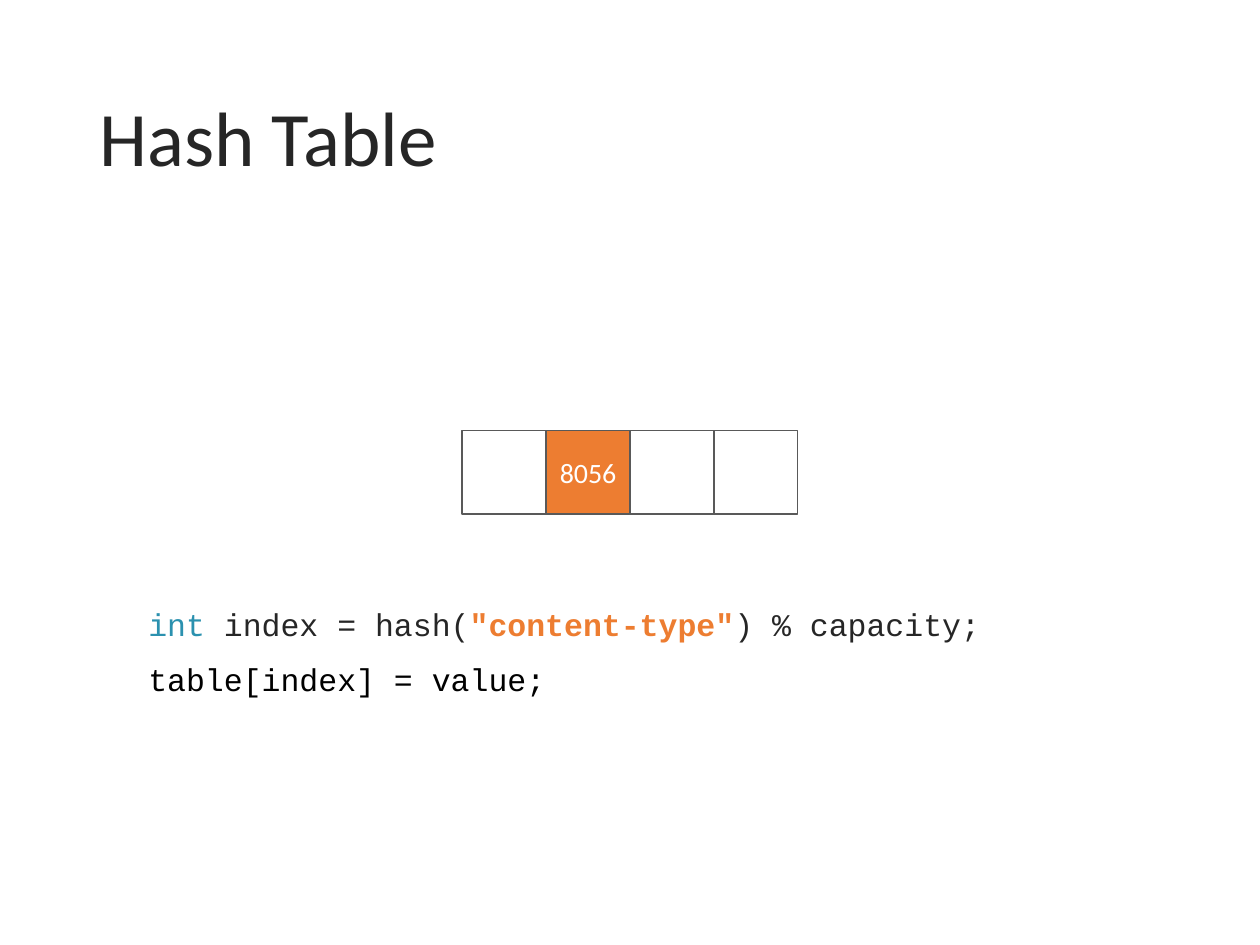
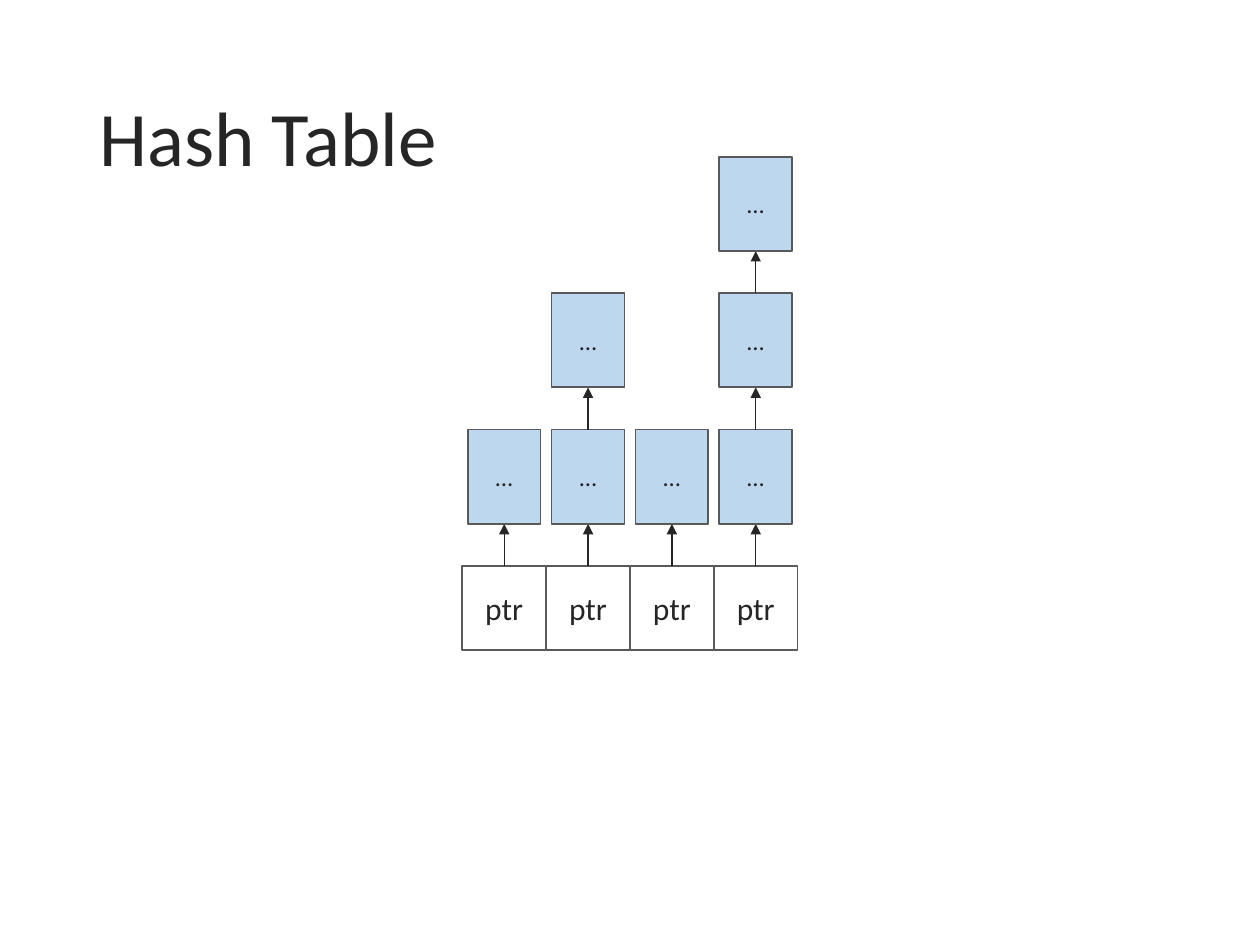
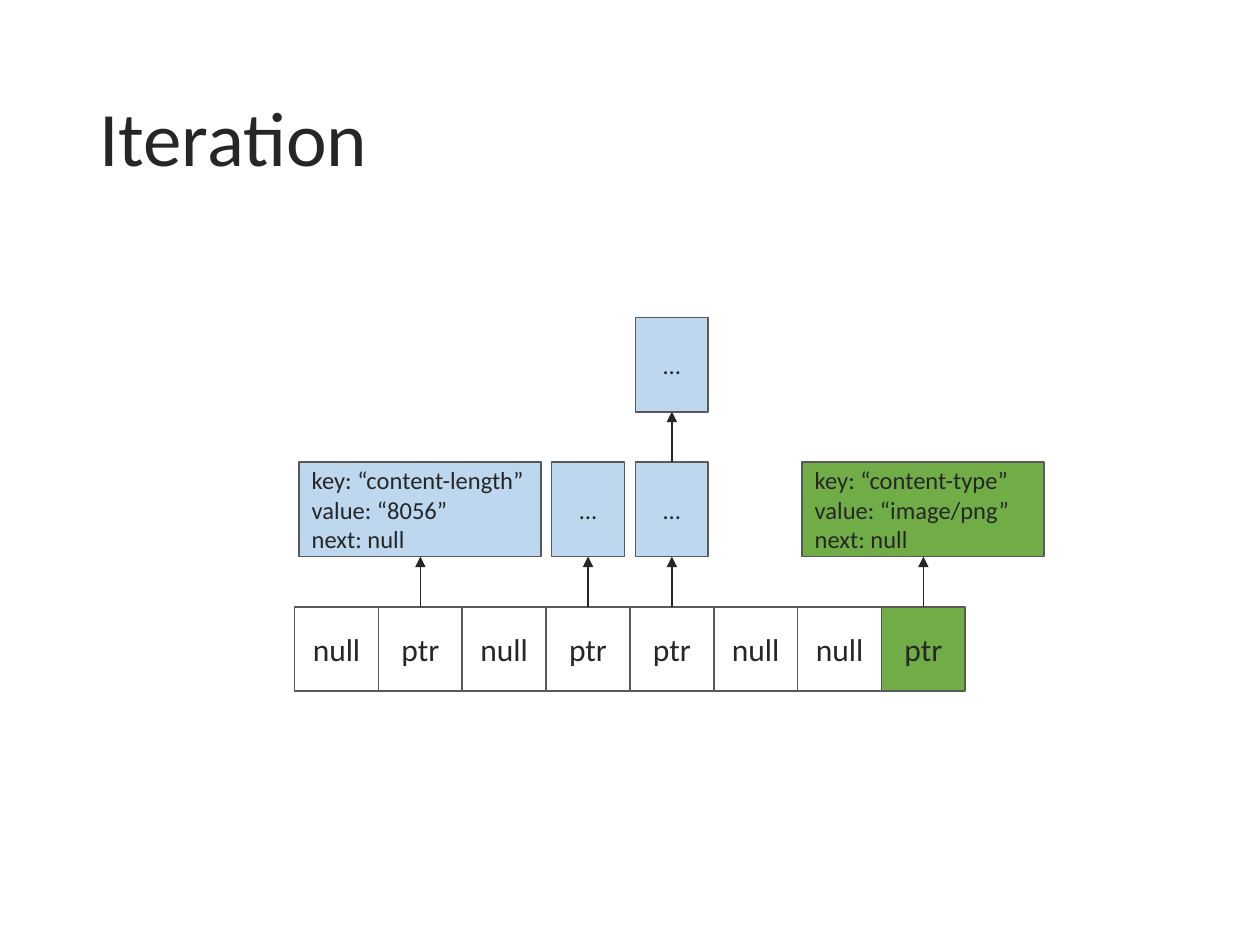
"""Builds three slides on hash tables: direct slots, chained buckets and iteration."""
from dataclasses import dataclass

from lxml.etree import SubElement
from pptx import Presentation
from pptx.dml.color import RGBColor
from pptx.enum.shapes import MSO_CONNECTOR, MSO_SHAPE
from pptx.enum.text import MSO_ANCHOR, MSO_AUTO_SIZE, PP_ALIGN
from pptx.oxml.ns import qn
from pptx.util import Cm, Pt

RECTANGLE = MSO_SHAPE.RECTANGLE
STRAIGHT = MSO_CONNECTOR.STRAIGHT
MIDDLE = MSO_ANCHOR.MIDDLE
FIT_SHAPE = MSO_AUTO_SIZE.SHAPE_TO_FIT_TEXT
LEFT, CENTER = PP_ALIGN.LEFT, PP_ALIGN.CENTER

SLIDE_WIDTH, SLIDE_HEIGHT = 25.4, 19.05
CELL = 1.69
NODE_WIDTH, NODE_HEIGHT = 1.47, 1.9
ENTRY_WIDTH = 4.88


@dataclass(frozen=True)
class Theme:
    ink: RGBColor = RGBColor(0x26, 0x26, 0x26)
    black: RGBColor = RGBColor(0, 0, 0)
    white: RGBColor = RGBColor(0xFF, 0xFF, 0xFF)
    outline: RGBColor = RGBColor(0x59, 0x59, 0x59)
    accent: RGBColor = RGBColor(0xED, 0x7D, 0x31)
    keyword: RGBColor = RGBColor(0x2B, 0x91, 0xAF)
    node: RGBColor = RGBColor(0xBD, 0xD7, 0xEE)
    match: RGBColor = RGBColor(0x70, 0xAD, 0x47)
    body_font: str = "Calibri"
    code_font: str = "Courier New"
    title_size: int = 44
    code_size: int = 18
    cell_size: int = 18
    value_size: int = 16
    node_size: int = 14


class Deck:
    def __init__(self, theme):
        self.theme = theme
        self.presentation = Presentation()
        self.presentation.slide_width = Cm(SLIDE_WIDTH)
        self.presentation.slide_height = Cm(SLIDE_HEIGHT)
        self.slide = None

    def new_slide(self, title):
        blank = self.presentation.slide_layouts[6]
        self.slide = self.presentation.slides.add_slide(blank)
        frame = self.text_frame(1.75, 1.02, 21.9, 3.68)
        frame.vertical_anchor = MIDDLE
        paragraph = frame.paragraphs[0]
        paragraph.text = title
        paragraph.line_spacing = 0.9
        self.style(paragraph, self.theme.title_size, self.theme.ink)

    def text_frame(self, left, top, width, height):
        shape = self.slide.shapes.add_textbox(Cm(left), Cm(top), Cm(width), Cm(height))
        shape.text_frame.word_wrap = True
        return shape.text_frame

    def style(self, paragraph, size, color):
        paragraph.font.name = self.theme.body_font
        paragraph.font.size = Pt(size)
        paragraph.font.color.rgb = color

    def code(self, top, parts):
        frame = self.text_frame(2.74, top, 21, 1.02)
        frame.auto_size = FIT_SHAPE
        paragraph = frame.paragraphs[0]
        paragraph.font.name = self.theme.code_font
        paragraph.font.size = Pt(self.theme.code_size)
        for text, color, bold in parts:
            run = paragraph.add_run()
            run.text = text
            run.font.color.rgb = color
            run.font.bold = bold

    def box(self, left, top, width, height, fill, lines, size, color, align=CENTER):
        shape = self.slide.shapes.add_shape(
            RECTANGLE, Cm(left), Cm(top), Cm(width), Cm(height))
        shape.shadow.inherit = False
        shape.fill.solid()
        shape.fill.fore_color.rgb = fill
        shape.line.color.rgb = self.theme.outline
        shape.line.width = Pt(1)
        frame = shape.text_frame
        frame.vertical_anchor = MIDDLE
        frame.text = "\n".join(lines)
        for paragraph in frame.paragraphs:
            paragraph.alignment = align
            self.style(paragraph, size, color)

    def row(self, top, labels, size, color, highlight=None, highlight_fill=None):
        """Draws a centred row of cells and returns the centre of each."""
        left = (SLIDE_WIDTH - len(labels) * CELL) / 2
        for index, label in enumerate(labels):
            fill = highlight_fill if index == highlight else self.theme.white
            self.box(left + index * CELL, top, CELL, CELL, fill, [label], size, color)
        return [left + (index + 0.5) * CELL for index in range(len(labels))]

    def arrow_up(self, x, bottom, top):
        connector = self.slide.shapes.add_connector(
            STRAIGHT, Cm(x), Cm(bottom), Cm(x), Cm(top))
        connector.line.color.rgb = self.theme.ink
        connector.line.width = Pt(0.75)
        properties = connector.element.spPr
        SubElement(properties.find(qn("a:ln")), qn("a:tailEnd"), type="triangle")
        SubElement(properties, qn("a:effectLst"))

    def linked(self, center, bottom, gap, lines=("…",), width=NODE_WIDTH,
               fill=None, align=CENTER):
        """Draws a node above an arrow and returns the top of the node."""
        node_bottom = bottom - gap
        top = node_bottom - NODE_HEIGHT
        self.arrow_up(center, bottom, node_bottom)
        self.box(center - width / 2, top, width, NODE_HEIGHT, fill or self.theme.node,
                 lines, self.theme.node_size, self.theme.ink, align)
        return top

    def chain(self, center, bottom, gap, count):
        for _ in range(count):
            bottom = self.linked(center, bottom, gap)

    def entry(self, center, bottom, gap, key, value, fill):
        lines = [f"key: “{key}”", f"value: “{value}”", "next: null"]
        self.linked(center, bottom, gap, lines, ENTRY_WIDTH, fill, LEFT)


def direct_slots(deck):
    theme = deck.theme
    deck.new_slide("Hash Table")
    deck.code(12.07, [
        ("int", theme.keyword, False),
        (" index = hash(", theme.ink, False),
        ('"content-type"', theme.accent, True),
        (") % capacity;", theme.ink, False),
    ])
    deck.code(13.18, [("table[index] = value;", theme.black, False)])
    deck.row(8.68, ["", "8056", "", ""], theme.value_size, theme.white, 1, theme.accent)


def chained_buckets(deck):
    theme = deck.theme
    deck.new_slide("Hash Table")
    top, gap = 11.41, 0.85
    centers = deck.row(top, ["ptr"] * 4, theme.cell_size, theme.ink)
    for center, count in zip(centers, [1, 2, 1, 3]):
        deck.chain(center, top, gap, count)


def iteration(deck):
    theme = deck.theme
    deck.new_slide("Iteration")
    top, gap = 12.24, 1.02
    labels = ["null", "ptr", "null", "ptr", "ptr", "null", "null", "ptr"]
    centers = deck.row(top, labels, theme.cell_size, theme.ink, 7, theme.match)
    deck.entry(centers[1], top, gap, "content-length", "8056", theme.node)
    deck.chain(centers[3], top, gap, 1)
    deck.chain(centers[4], top, gap, 2)
    deck.entry(centers[7], top, gap, "content-type", "image/png", theme.match)


deck = Deck(Theme())
direct_slots(deck)
chained_buckets(deck)
iteration(deck)
deck.presentation.save("out.pptx")
